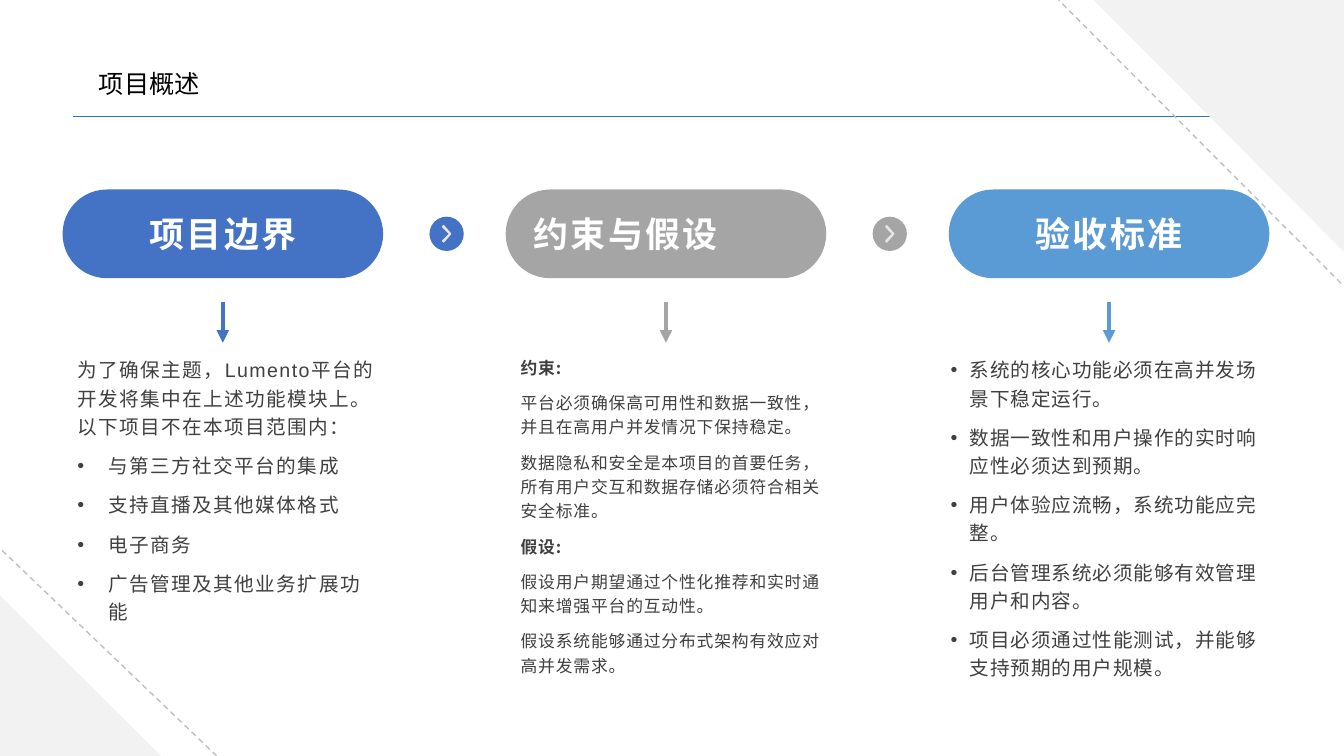
from lxml import etree
from pptx import Presentation
from pptx.dml.color import RGBColor
from pptx.enum.dml import MSO_LINE
from pptx.enum.shapes import MSO_CONNECTOR, MSO_SHAPE
from pptx.enum.text import MSO_ANCHOR, MSO_AUTO_SIZE, PP_ALIGN
from pptx.oxml.ns import qn
from pptx.util import Inches, Pt

STRAIGHT = MSO_CONNECTOR.STRAIGHT
DASH = MSO_LINE.DASH
PILL = MSO_SHAPE.ROUNDED_RECTANGLE
OVAL = MSO_SHAPE.OVAL
RIGHT_TRIANGLE = MSO_SHAPE.RIGHT_TRIANGLE
TOP, MIDDLE = MSO_ANCHOR.TOP, MSO_ANCHOR.MIDDLE
LEFT, CENTER = PP_ALIGN.LEFT, PP_ALIGN.CENTER
NO_AUTOFIT = MSO_AUTO_SIZE.NONE

WIDTH, HEIGHT = 13.33, 7.5
COLUMN_LEFT, COLUMN_PITCH, COLUMN_WIDTH = 0.62, 4.395, 3.18
PILL_TOP, PILL_HEIGHT = 1.88, 0.88
BADGE_SIZE = 0.34
LATIN, CJK = "Arial", "Noto Sans CJK SC"

COLORS = {
    "boundary": "4472C4",
    "constraint": "A5A5A5",
    "acceptance": "5B9BD5",
    "rule": "2E75B6",
    "dash": "BFBFBF",
    "corner": "F2F2F2",
    "text": "404040",
    "title": "000000",
    "white": "FFFFFF",
    "chevron_edge": "E7E6E6",
}

COLUMNS = [
    {
        "heading": "项目边界", "color": "boundary", "align": CENTER, "heading_tracking": 180,
        "body_shift": 0.05, "body_width": 3.18, "font": LATIN,
        "size": 14, "leading": 20.1, "tracking": 100, "indent": 0.31,
        "lines": [
            ("为了确保主题，Lumento平台的开发将集中在上述功能模块上。以下项目不在本项目范围内：", "plain"),
            ("与第三方社交平台的集成", "bullet"),
            ("支持直播及其他媒体格式", "bullet"),
            ("电子商务", "bullet"),
            ("广告管理及其他业务扩展功能", "bullet"),
        ],
    },
    {
        "heading": "约束与假设", "color": "constraint", "align": LEFT, "heading_tracking": 170,
        "body_shift": 0.05, "body_width": 3.18, "font": CJK,
        "size": 12, "leading": 17.25, "tracking": 60, "indent": 0,
        "lines": [
            ("约束:", "bold"),
            ("平台必须确保高可用性和数据一致性，并且在高用户并发情况下保持稳定。", "plain"),
            ("数据隐私和安全是本项目的首要任务，所有用户交互和数据存储必须符合相关安全标准。", "plain"),
            ("假设:", "bold"),
            ("假设用户期望通过个性化推荐和实时通知来增强平台的互动性。", "plain"),
            ("假设系统能够通过分布式架构有效应对高并发需求。", "plain"),
        ],
    },
    {
        "heading": "验收标准", "color": "acceptance", "align": CENTER, "heading_tracking": 180,
        "body_shift": -0.08, "body_width": 3.4, "font": LATIN,
        "size": 14, "leading": 20.1, "tracking": 60, "indent": 0.19,
        "lines": [
            ("系统的核心功能必须在高并发场景下稳定运行。", "bullet"),
            ("数据一致性和用户操作的实时响应性必须达到预期。", "bullet"),
            ("用户体验应流畅，系统功能应完整。", "bullet"),
            ("后台管理系统必须能够有效管理用户和内容。", "bullet"),
            ("项目必须通过性能测试，并能够支持预期的用户规模。", "bullet"),
        ],
    },
]


def color(name):
    return RGBColor.from_string(COLORS[name])


def paint(shape, fill, edge=None):
    shape.shadow.inherit = False
    shape.fill.solid()
    shape.fill.fore_color.rgb = color(fill)
    if edge:
        shape.line.color.rgb = color(edge)
        shape.line.width = Pt(1)
    else:
        shape.line.fill.background()


def add_shape(slide, kind, left, top, width, height, fill):
    shape = slide.shapes.add_shape(kind, Inches(left), Inches(top), Inches(width), Inches(height))
    paint(shape, fill)
    return shape


def add_outline(slide, points, fill, edge=None):
    corners = [(Inches(x), Inches(y)) for x, y in points]
    builder = slide.shapes.build_freeform(*corners[0])
    builder.add_line_segments(corners[1:], close=True)
    paint(builder.convert_to_shape(), fill, edge)


def add_line(slide, start, end, stroke, width, dashed=False, arrow=False):
    connector = slide.shapes.add_connector(STRAIGHT, *(Inches(value) for value in start + end))
    connector.line.color.rgb = color(stroke)
    connector.line.width = Pt(width)
    if dashed:
        connector.line.dash_style = DASH
    if arrow:
        etree.SubElement(connector.line._get_or_add_ln(), qn("a:tailEnd"), type="triangle")
    etree.SubElement(connector._element.spPr, qn("a:effectLst"))


def style(paragraph, font_name, size, ink, bold=False, tracking=0):
    font = paragraph.font
    font.name, font.size, font.bold = font_name, Pt(size), bold
    font.color.rgb = color(ink)
    etree.SubElement(font._element, qn("a:ea"), typeface=CJK)
    font._element.set("spc", str(tracking))


def add_bullet(paragraph, indent):
    properties = paragraph._p.get_or_add_pPr()
    properties.set("marL", str(Inches(indent)))
    properties.set("indent", str(-Inches(indent)))
    etree.SubElement(properties, qn("a:buFont"), typeface=LATIN)
    etree.SubElement(properties, qn("a:buChar"), char="•")


def add_text_frame(slide, left, top, width, height, anchor):
    box = slide.shapes.add_textbox(Inches(left), Inches(top), Inches(width), Inches(height))
    box.text_frame.word_wrap = True
    box.text_frame.vertical_anchor = anchor
    return box.text_frame


def add_title(slide, text):
    title = slide.shapes.title
    title.left, title.top, title.width, title.height = map(Inches, (0.88, 0.46, 6.67, 0.55))
    frame = title.text_frame
    frame.text = text
    frame.auto_size = NO_AUTOFIT
    frame.vertical_anchor = TOP
    paragraph = frame.paragraphs[0]
    paragraph.alignment = LEFT
    paragraph.line_spacing = Pt(34)
    style(paragraph, CJK, 18, "title")


def add_background(slide):
    add_line(slide, (0.72, 1.15), (12.61, 1.15), "rule", 0.5)
    add_line(slide, (13.3, 2.81), (10.5, 0), "dash", 1, dashed=True)
    add_outline(slide, [(10.85, 0), (WIDTH, 0), (WIDTH, 2.5)], "corner")
    add_shape(slide, RIGHT_TRIANGLE, 0, 5.91, 1.6, HEIGHT - 5.91, "corner")
    add_line(slide, (2.15, HEIGHT), (0.01, 5.45), "dash", 1, dashed=True)


def add_badge(slide, left, fill):
    top = PILL_TOP + (PILL_HEIGHT - BADGE_SIZE) / 2
    add_shape(slide, OVAL, left, top, BADGE_SIZE, BADGE_SIZE, fill)
    chevron = [(0, 0.01), (0.01, 0), (0.08, 0.08), (0.01, 0.16), (0, 0.15), (0.07, 0.08)]
    add_outline(slide, [(left + 0.13 + x, top + 0.09 + y) for x, y in chevron], "white", "chevron_edge")


def add_body(slide, left, column):
    frame = add_text_frame(slide, left + column["body_shift"], 3.46, column["body_width"], 3.06, TOP)
    for index, (text, kind) in enumerate(column["lines"]):
        paragraph = frame.add_paragraph() if index else frame.paragraphs[0]
        paragraph.text = text
        paragraph.line_spacing = Pt(column["leading"])
        paragraph.space_after = Pt(8)
        if kind == "bullet":
            add_bullet(paragraph, column["indent"])
        style(paragraph, column["font"], column["size"], "text", kind == "bold", column["tracking"])


def add_column(slide, left, column):
    pill = add_shape(slide, PILL, left, PILL_TOP, COLUMN_WIDTH, PILL_HEIGHT, column["color"])
    pill.adjustments[0] = 0.5
    center = left + COLUMN_WIDTH / 2
    add_line(slide, (center, 3), (center, 3.4), column["color"], 3, arrow=True)
    add_body(slide, left, column)
    heading = add_text_frame(slide, left + 0.18, 1.94, 2.82, 0.75, MIDDLE).paragraphs[0]
    heading.text = column["heading"]
    heading.alignment = column["align"]
    style(heading, LATIN, 25, "white", True, column["heading_tracking"])


def main():
    presentation = Presentation()
    presentation.slide_width, presentation.slide_height = Inches(WIDTH), Inches(HEIGHT)
    slide = presentation.slides.add_slide(presentation.slide_layouts[5])
    add_background(slide)
    add_title(slide, "项目概述")
    for index, column in enumerate(COLUMNS):
        left = COLUMN_LEFT + index * COLUMN_PITCH
        add_column(slide, left, column)
        if index < len(COLUMNS) - 1:
            add_badge(slide, left + 3.64, column["color"])
    presentation.save("out.pptx")


if __name__ == "__main__":
    main()
